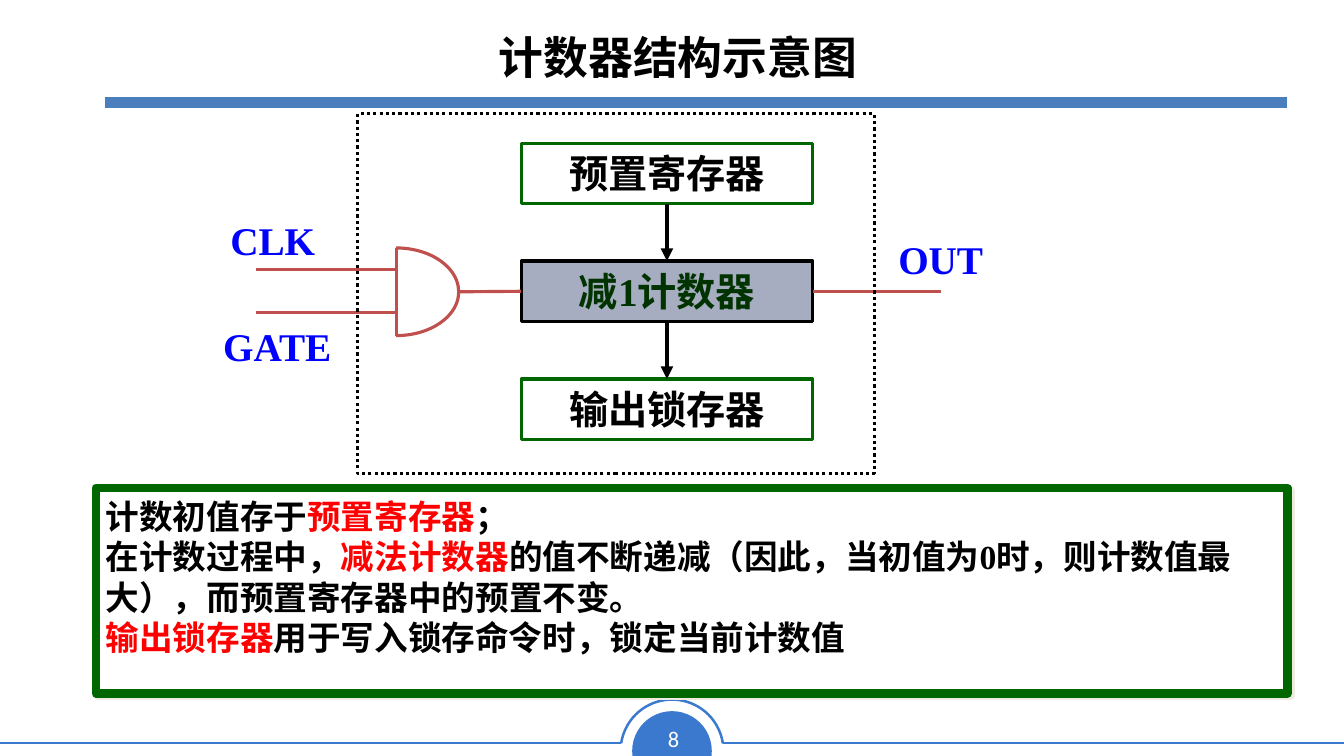
from dataclasses import dataclass
from lxml import etree
from pptx import Presentation
from pptx.dml.color import RGBColor
from pptx.enum.dml import MSO_LINE
from pptx.enum.shapes import MSO_CONNECTOR, MSO_SHAPE
from pptx.enum.text import MSO_ANCHOR, PP_ALIGN
from pptx.oxml.ns import qn
from pptx.util import Inches, Pt

RECT, ARC, CHORD = MSO_SHAPE.RECTANGLE, MSO_SHAPE.ARC, MSO_SHAPE.CHORD
STRAIGHT, DOTTED = MSO_CONNECTOR.STRAIGHT, MSO_LINE.ROUND_DOT
LEFT, CENTER = PP_ALIGN.LEFT, PP_ALIGN.CENTER
TOP, MIDDLE = MSO_ANCHOR.TOP, MSO_ANCHOR.MIDDLE


@dataclass(frozen=True)
class Theme:
    ink: str = "000000"
    white: str = "FFFFFF"
    green: str = "006600"
    dark_green: str = "003300"
    steel: str = "A6ADC0"
    wire: str = "C0504D"
    signal: str = "0000FF"
    accent: str = "FF0000"
    rule: str = "4B7EBC"
    footer: str = "3B79CE"
    shade: str = "EEECE1"
    serif: str = "Times New Roman"
    sans: str = "Calibri"
    chinese: str = "Noto Sans CJK SC"
    title: int = 32
    label: int = 28
    body: int = 24
    page: int = 16
    stroke: float = 2.25
    arrow: float = 3
    footer_stroke: float = 1.77


T = Theme()
WIDTH, HEIGHT = 13.33, 7.5

TITLE = "计数器结构示意图"
PAGE = "8"
STAGES = [
    ("预置寄存器", T.ink, None, T.green),
    ("减1计数器", T.dark_green, T.steel, T.ink),
    ("输出锁存器", T.ink, None, T.green),
]
SIGNALS = [
    ("CLK", (2.09, 2.12, 1.23, 0.52)),
    ("GATE", (1.98, 3.0, 1.54, 0.87)),
    ("OUT", (8.73, 2.26, 1.2, 0.62)),
]
NOTES = [
    [("计数初值存于", T.ink), ("预置寄存器", T.accent), ("；", T.ink)],
    [("在计数过程中，", T.ink), ("减法计数器", T.accent),
     ("的值不断递减（因此，当初值为0时，则计数值最大），而预置寄存器中的预置不变。", T.ink)],
    [("输出锁存器", T.accent), ("用于写入锁存命令时，锁定当前计数值", T.ink)],
]

STAGE_LEFT, STAGE_TOP, STAGE_PITCH = 5.17, 1.42, 1.17
STAGE_SIZE = (2.89, 0.6)
FRAME = (3.55, 1.13, 5.12, 3.57)
NOTE_BOX = (0.95, 4.84, 11.82, 2.04)
RULE_Y, RULE_LEFT, RULE_RIGHT = 1.02, 1.04, 12.76
GATE_X, GATE_TOP, GATE_BOTTOM, GATE_DEPTH = 3.93, 2.46, 3.33, 0.62
GATE_MIDDLE = (GATE_TOP + GATE_BOTTOM) / 2
INPUT_LEFT, INPUT_ROWS, OUTPUT_RIGHT = 2.54, (2.67, 3.1), 9.33
BADGE_X, BADGE_Y, BADGE_R, RING_R = WIDTH / 2, 7.45, 0.395, 0.51
FOOTER_Y = 7.37

deck = Presentation()
deck.slide_width, deck.slide_height = Inches(WIDTH), Inches(HEIGHT)
slide = deck.slides.add_slide(deck.slide_layouts[6])


def rgb(color):
    return RGBColor.from_string(color)


def shape(kind, box, fill=None, line=None, width=T.stroke, angles=()):
    item = slide.shapes.add_shape(kind, *map(Inches, box))
    item.shadow.inherit = False
    if fill:
        item.fill.solid()
        item.fill.fore_color.rgb = rgb(fill)
    else:
        item.fill.background()
    if line:
        item.line.color.rgb = rgb(line)
        item.line.width = Pt(width)
    else:
        item.line.fill.background()
    for index, angle in enumerate(angles):
        item.adjustments[index] = angle * 0.6
    return item


def circle_box(x, y, rx, ry):
    return x - rx, y - ry, 2 * rx, 2 * ry


def connect(start, end, color, width, source=None, target=None, arrow=False):
    item = slide.shapes.add_connector(STRAIGHT, *map(Inches, start + end))
    if source:
        item.begin_connect(*source)
    if target:
        item.end_connect(*target)
    item.line.color.rgb = rgb(color)
    item.line.width = Pt(width)
    if arrow:
        etree.SubElement(item.line._get_or_add_ln(), qn("a:tailEnd"), type="triangle")
    etree.SubElement(item._element.spPr, qn("a:effectLst"))
    return item


def write(item, paragraphs, size, font=T.serif, bold=True, align=CENTER,
          anchor=TOP, inset=(0.01, 0.01, 0.01, 0.01)):
    frame = item.text_frame
    frame.word_wrap = True
    frame.vertical_anchor = anchor
    (frame.margin_left, frame.margin_top,
     frame.margin_right, frame.margin_bottom) = map(Inches, inset)
    for index, runs in enumerate(paragraphs):
        paragraph = frame.add_paragraph() if index else frame.paragraphs[0]
        paragraph.alignment = align
        for text, color in runs:
            run = paragraph.add_run()
            run.text = text
            run.font.size, run.font.bold, run.font.name = Pt(size), bold, font
            run.font.color.rgb = rgb(color)
            etree.SubElement(run._r.rPr, qn("a:ea"), typeface=T.chinese)


def label(box, text, color, size, **style):
    item = slide.shapes.add_textbox(*map(Inches, box))
    write(item, [[(text, color)]], size, **style)


badge = shape(CHORD, circle_box(BADGE_X, BADGE_Y, BADGE_R, BADGE_R),
              fill=T.footer, angles=(59.62, 255.48))
badge.rotation = 112.4
for start, end in ((0, BADGE_X - RING_R), (BADGE_X + RING_R, WIDTH)):
    connect((start, FOOTER_Y), (end, FOOTER_Y), T.footer, T.footer_stroke)
shape(ARC, circle_box(BADGE_X, BADGE_Y, RING_R, RING_R), line=T.footer,
      width=T.footer_stroke, angles=(188.62, 351.63))
label((6.45, 7.14, 0.46, 0.37), PAGE, T.white, T.page, font=T.sans,
      bold=False, anchor=MIDDLE)

connect((RULE_LEFT, RULE_Y), (RULE_RIGHT, RULE_Y), T.rule, 8)
label((RULE_LEFT, 0.1, 11.37, 0.92), TITLE, T.ink, T.title, font=T.chinese, anchor=MIDDLE)

stages = []
for row, (name, color, fill, line) in enumerate(STAGES):
    stage = shape(RECT, (STAGE_LEFT, STAGE_TOP + row * STAGE_PITCH) + STAGE_SIZE, fill, line)
    write(stage, [[(name, color)]], T.label, inset=(0.01, 0.06, 0.01, 0))
    stages.append(stage)
for upper, lower in zip(stages, stages[1:]):
    connect((0, 0), (0, 0), T.ink, T.arrow, (upper, 2), (lower, 0), arrow=True)

counter = stages[1]
for angles in ((270, 0), (0, 90)):
    shape(ARC, circle_box(GATE_X, GATE_MIDDLE, GATE_DEPTH, (GATE_BOTTOM - GATE_TOP) / 2),
          line=T.wire, angles=angles)
connect((GATE_X, GATE_TOP), (GATE_X, GATE_BOTTOM), T.wire, T.stroke)
for y in INPUT_ROWS:
    connect((INPUT_LEFT, y), (GATE_X, y), T.wire, T.stroke)
connect((GATE_X + GATE_DEPTH, GATE_MIDDLE), (STAGE_LEFT, GATE_MIDDLE),
        T.wire, T.stroke, target=(counter, 1))
connect((0, 0), (OUTPUT_RIGHT, 2.89), T.wire, T.stroke, source=(counter, 3))
shape(RECT, FRAME, line=T.ink).line.dash_style = DOTTED
for name, box in SIGNALS:
    label(box, name, T.signal, T.label, anchor=MIDDLE)

notes = shape(RECT, NOTE_BOX, T.white, T.green, 6)
effects = notes._element.spPr.find(qn("a:effectLst"))
shadow = etree.SubElement(effects, qn("a:outerShdw"), dist=str(Pt(2.8)), dir="2700000")
etree.SubElement(shadow, qn("a:srgbClr"), val=T.shade)
write(notes, NOTES, T.body, align=LEFT, inset=(0.1, 0.08, 0.1, 0.02))

deck.save("out.pptx")
